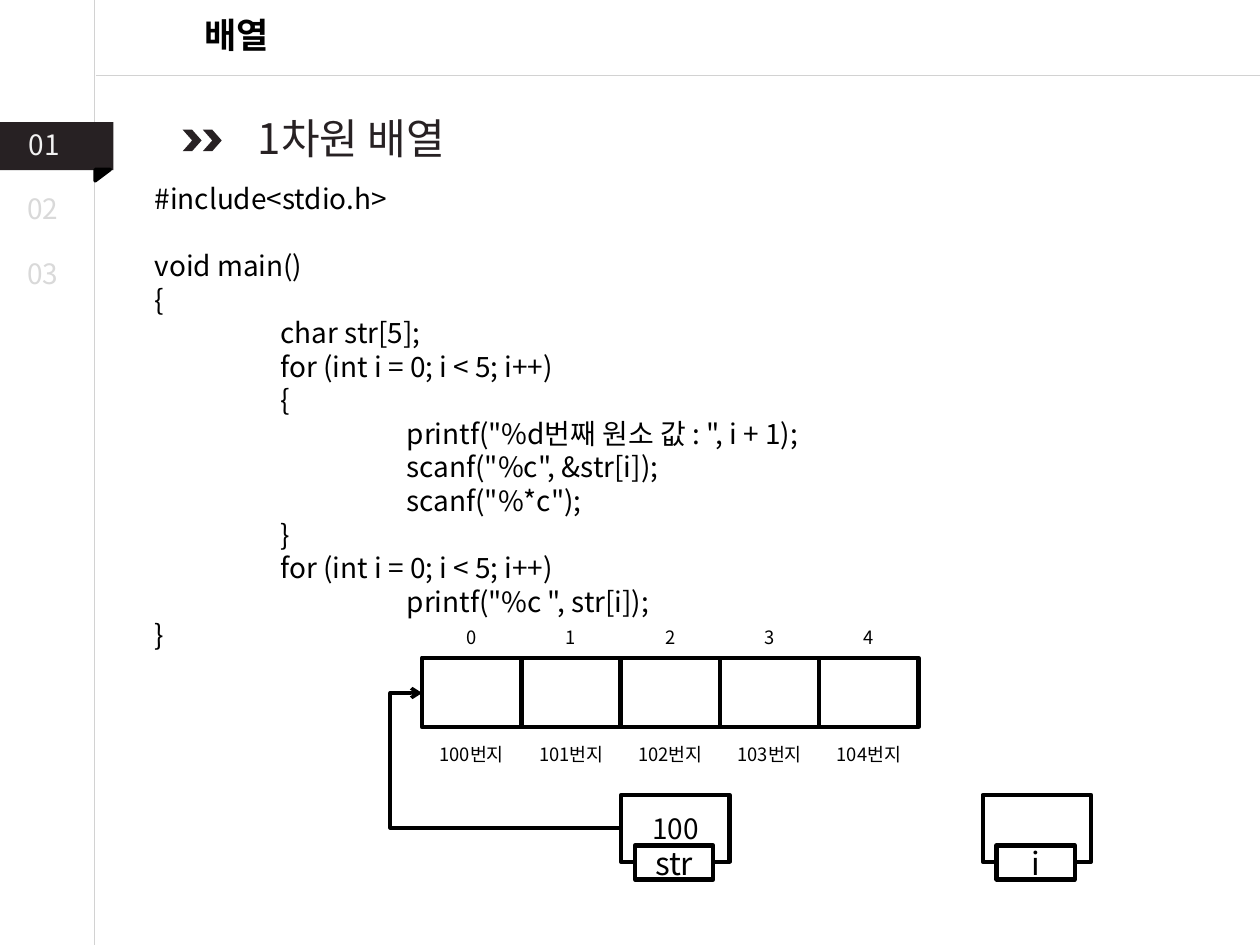
"""Builds a slide about one-dimensional arrays in C."""
from lxml.etree import SubElement
from pptx import Presentation
from pptx.dml.color import RGBColor
from pptx.enum.shapes import MSO_CONNECTOR, MSO_SHAPE
from pptx.enum.text import MSO_ANCHOR, MSO_AUTO_SIZE, PP_ALIGN
from pptx.oxml.ns import qn
from pptx.util import Inches, Pt

COLORS = {"ink": "000000", "dark": "272123", "light": "F2F2F2",
          "muted": "D9D9D9", "rule": "D2D2D2", "paper": "FFFFFF"}
FONT = "Noto Sans CJK KR"
CODE = """#include<stdio.h>
void main()
{
\tchar str[5];
\tfor (int i = 0; i < 5; i++)
\t{
\t\tprintf("%d번째 원소 값 : ", i + 1);
\t\tscanf("%c", &str[i]);
\t\tscanf("%*c");
\t}
\tfor (int i = 0; i < 5; i++)
\t\tprintf("%c ", str[i]);
}"""


def color(name):
    return RGBColor.from_string(COLORS[name])


def set_tabs(para, *stops):
    tabs = SubElement(para._p.get_or_add_pPr(), qn("a:tabLst"))
    for stop in stops:
        SubElement(tabs, qn("a:tab"), pos=str(Inches(stop)), algn="l")


def write(box, text, size=16, ink="ink", bold=False, align=PP_ALIGN.LEFT,
          anchor=MSO_ANCHOR.TOP, wrap=True):
    frame = box.text_frame
    frame.word_wrap = wrap
    frame.auto_size = MSO_AUTO_SIZE.NONE
    frame.vertical_anchor = anchor
    for index, line in enumerate(text.split("\n")):
        para = frame.paragraphs[0] if index == 0 else frame.add_paragraph()
        para.alignment = align
        span = para.add_run()
        span.text = line
        span.font.size = Pt(size)
        span.font.bold = bold
        span.font.name = FONT
        span.font.color.rgb = color(ink)
        SubElement(span.font._element, qn("a:ea"), typeface=FONT)


class SlideBuilder:
    def __init__(self, deck):
        self.page = deck.slides.add_slide(deck.slide_layouts[5])

    def title(self, text, left, top, width, height, **style):
        box = self.page.shapes.title
        box.left, box.top = Inches(left), Inches(top)
        box.width, box.height = Inches(width), Inches(height)
        write(box, text, **style)

    def text(self, text, left, top, width, height, **style):
        box = self.page.shapes.add_textbox(
            Inches(left), Inches(top), Inches(width), Inches(height))
        write(box, text, **style)
        return box

    def code(self, text, left, top, width, height):
        box = self.text(text, left, top, width, height)
        paragraphs = box.text_frame.paragraphs
        paragraphs[1].space_before = Pt(19.2)
        for para in paragraphs:
            set_tabs(para, 1, 2)

    def shape(self, kind, left, top, width, height, fill=None, line=None,
              weight=2.5, text=None, size=16):
        box = self.page.shapes.add_shape(
            kind, Inches(left), Inches(top), Inches(width), Inches(height))
        box.shadow.inherit = False
        if fill:
            box.fill.solid()
            box.fill.fore_color.rgb = color(fill)
        else:
            box.fill.background()
        if line:
            box.line.color.rgb = color(line)
            box.line.width = Pt(weight)
        else:
            box.line.fill.background()
        if text:
            write(box, text, size=size, align=PP_ALIGN.CENTER,
                  anchor=MSO_ANCHOR.MIDDLE)
        return box

    def connector(self, kind, start, end, line, weight):
        link = self.page.shapes.add_connector(
            kind, *(Inches(value) for value in (*start, *end)))
        link.line.color.rgb = color(line)
        link.line.width = Pt(weight)
        SubElement(link._element.spPr, qn("a:effectLst"))
        return link

    def pointer(self, tip, tail, bend):
        link = self.connector(MSO_CONNECTOR.ELBOW, tip, tail, "ink", 2)
        properties = link._element.spPr
        properties.find(qn("a:xfrm")).set("rot", "10800000")
        guides = properties.find(qn("a:prstGeom")).find(qn("a:avLst"))
        SubElement(guides, qn("a:gd"), name="adj1",
                   fmla=f"val {round(bend * 100000)}")
        SubElement(properties.find(qn("a:ln")), qn("a:tailEnd"), type="arrow")

    def variable(self, left, name, value=None):
        self.shape(MSO_SHAPE.RECTANGLE, left, 6.31, 0.86, 0.53, line="ink",
                   text=value)
        self.shape(MSO_SHAPE.RECTANGLE, left + 0.11, 6.71, 0.62, 0.27,
                   fill="paper", line="ink", text=name, size=18)

    def array(self, left, width, count):
        cell = width / count
        for index in range(count):
            x = left + index * cell
            self.shape(MSO_SHAPE.RECTANGLE, x, 5.22, cell, 0.55, line="ink")
            for label, top in ((f"{index}", 4.92), (f"{100 + index}번지", 5.85)):
                self.text(label, x, top, cell, 0.29, size=10.5,
                          align=PP_ALIGN.CENTER, wrap=False)


def main():
    deck = Presentation()
    deck.slide_width, deck.slide_height = Inches(10), Inches(7.5)
    slide = SlideBuilder(deck)

    slide.title("배열", 0.81, 0.06, 2.14, 0.44, size=20, bold=True,
                align=PP_ALIGN.CENTER)
    slide.connector(MSO_CONNECTOR.STRAIGHT, (0.75, 0), (0.75, 7.5), "rule", 0.75)
    slide.connector(MSO_CONNECTOR.STRAIGHT, (0.76, 0.6), (10, 0.6), "rule", 0.75)

    slide.shape(MSO_SHAPE.RECTANGLE, 0, 0.97, 0.9, 0.38, fill="dark")
    fold = slide.shape(MSO_SHAPE.RIGHT_TRIANGLE, 0.77, 1.33, 0.09, 0.12,
                       fill="ink", line="ink", weight=2)
    fold.rotation = 90
    for number, left, top, ink in (("01", 0.13, 0.96, "light"),
                                   ("02", 0.12, 1.47, "muted"),
                                   ("03", 0.12, 1.99, "muted")):
        slide.text(number, left, top, 0.5, 0.37, ink=ink)

    for left in (1.45, 1.61):
        slide.shape(MSO_SHAPE.CHEVRON, left, 1.03, 0.15, 0.17, fill="dark")
    slide.text("1차원 배열", 1.22, 0.84, 3.14, 0.5, size=24, ink="dark",
               align=PP_ALIGN.CENTER)
    slide.code(CODE, 1.13, 1.39, 8.43, 3.87)

    slide.array(3.35, 3.94, 5)
    slide.variable(4.93, "str", "100")
    slide.variable(7.8, "i")
    slide.pointer((3.35, 5.5), (4.93, 6.57), 1.16)
    deck.save("out.pptx")


if __name__ == "__main__":
    main()
